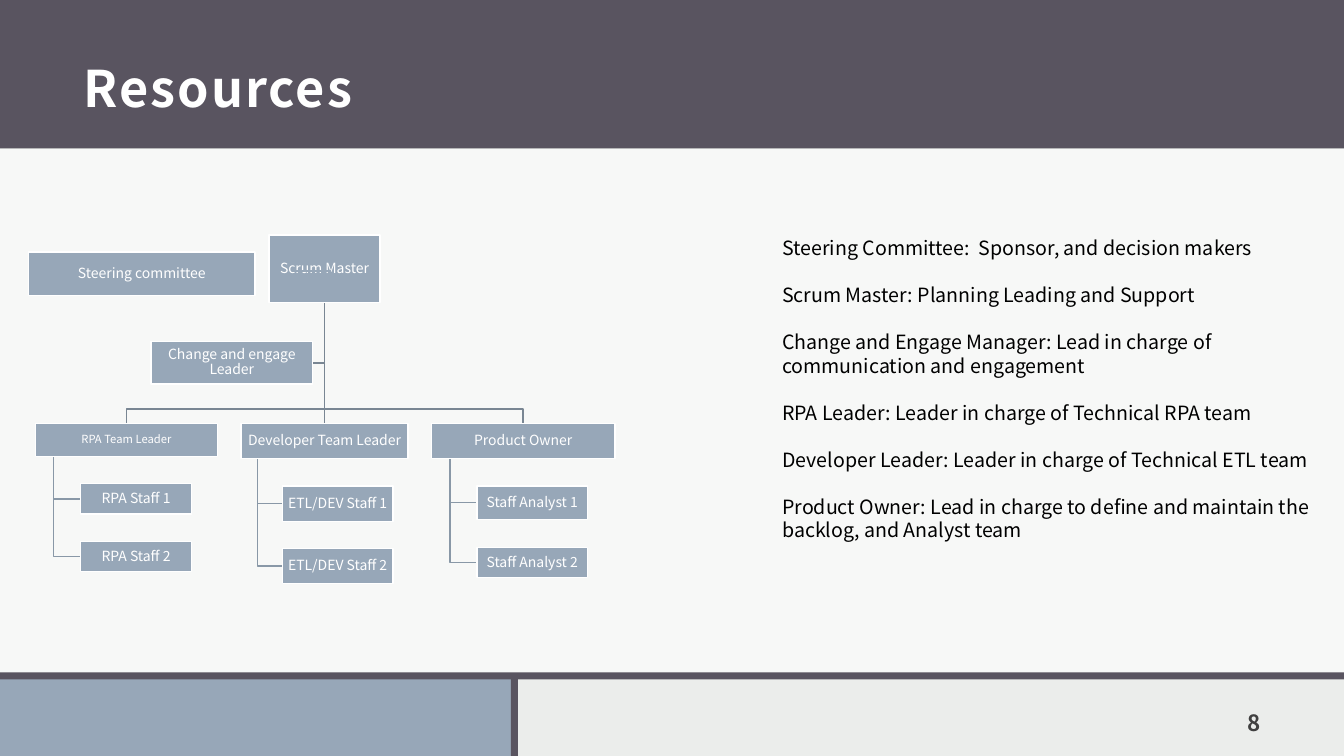
from lxml import etree
from pptx import Presentation
from pptx.dml.color import RGBColor
from pptx.enum.shapes import MSO_CONNECTOR, MSO_SHAPE
from pptx.enum.text import MSO_ANCHOR, PP_ALIGN
from pptx.oxml.ns import qn
from pptx.util import Pt

RECTANGLE = MSO_SHAPE.RECTANGLE
STRAIGHT = MSO_CONNECTOR.STRAIGHT
MIDDLE, BOTTOM, TOP = MSO_ANCHOR.MIDDLE, MSO_ANCHOR.BOTTOM, MSO_ANCHOR.TOP
CENTER, LEFT, RIGHT = PP_ALIGN.CENTER, PP_ALIGN.LEFT, PP_ALIGN.RIGHT

FONT = "Noto Sans CJK JP"
WHITE = RGBColor(0xFF, 0xFF, 0xFF)
BLACK = RGBColor(0x00, 0x00, 0x00)
PLUM = RGBColor(0x59, 0x54, 0x60)
SAGE = RGBColor(0xEB, 0xED, 0xEB)
PALE = RGBColor(0xF7, 0xF8, 0xF7)
STEEL = RGBColor(0x97, 0xA7, 0xB8)
TRUNK_BLUE = RGBColor(0x79, 0x86, 0x93)
BRANCH_BLUE = RGBColor(0x89, 0x98, 0xA7)
DARK_GRAY = RGBColor(0x40, 0x40, 0x40)

WIDTH, HEIGHT = 960, 540
LEADER_TOP, BUS_Y = 302.4, 292.3
STAFF_WIDTH = 79.2

BANDS = [  # left, top, width, height, colour
    (0, 0, WIDTH, 106, PLUM),
    (0, 106.5, WIDTH, 374, PALE),
    (0, 481, 366.5, 59, STEEL),
    (0, 480.2, WIDTH, 5.2, PLUM),
    (365, 481.7, 5, 58.3, PLUM),
]

STEERING = (20.2, 180, 162, 31)
SCRUM_MASTER = (192.2, 167.8, STAFF_WIDTH, 48.2)
CHANGE_LEADER = (108, 244.1, 115.2, 30.2)

# leader, left, width, height, text size, staff left, staff (name, top, height)
TEAMS = [
    ("RPA Team Leader", 25.2, 130.3, 23.8, 8, 57.6,
     [("RPA Staff 1", 345.6, 21.6), ("RPA Staff 2", 386.8, 21.6)]),
    ("Developer Team Leader", 172.1, 119.5, 25.2, 10, 201.6,
     [("ETL/DEV Staff 1", 347.2, 25.2), ("ETL/DEV Staff 2", 391.7, 25.2)]),
    ("Product Owner", 308.2, 131, 25.2, 10, 340.6,
     [("Staff Analyst 1", 347.2, 23.8), ("Staff Analyst 2", 391, 21.6)]),
]

ROLES = [
    "Steering Committee:  Sponsor, and decision makers",
    "Scrum Master: Planning Leading and Support",
    "Change and Engage Manager: Lead in charge of communication and engagement",
    "RPA Leader: Leader in charge of Technical RPA team",
    "Developer Leader: Leader in charge of Technical ETL team",
    "Product Owner: Lead in charge to define and maintain the backlog, and Analyst team",
]


def write(paragraph, text, size, color, align, bold=False, tracking=0):
    """Add one styled run; tracking is in hundredths of a point."""
    paragraph.alignment = align
    run = paragraph.add_run()
    run.text = text
    run.font.name, run.font.size, run.font.bold = FONT, Pt(size), bold
    run.font.color.rgb = color
    if tracking:
        run.font._element.set("spc", str(tracking))


def draw_wire(points, color):
    (start_x, start_y), *rest = points
    builder = slide.shapes.build_freeform(Pt(start_x), Pt(start_y))
    builder.add_line_segments([(Pt(x), Pt(y)) for x, y in rest], close=False)
    wire = builder.convert_to_shape()
    wire.shadow.inherit = False
    wire.fill.background()
    wire.line.color.rgb = color
    wire.line.width = Pt(1)


prs = Presentation()
prs.slide_width, prs.slide_height = Pt(WIDTH), Pt(HEIGHT)
slide = prs.slides.add_slide(prs.slide_layouts[1])
slide.background.fill.solid()
slide.background.fill.fore_color.rgb = SAGE
title, roles = slide.placeholders

# Backdrop, kept behind the placeholders
for order, (left, top, width, height, color) in enumerate(BANDS):
    band = slide.shapes.add_shape(RECTANGLE, Pt(left), Pt(top), Pt(width), Pt(height))
    band.shadow.inherit = False
    band.fill.solid()
    band.fill.fore_color.rgb = color
    band.line.fill.background()
    slide.shapes._spTree.insert(2 + order, band._element)

# Title
title.left, title.top, title.width, title.height = Pt(51), Pt(14.4), Pt(858), Pt(73.4)
frame = title.text_frame
frame.vertical_anchor = MIDDLE
frame.margin_left = frame.margin_right = frame.margin_top = Pt(8.6)
frame.margin_bottom = Pt(7.2)
frame.paragraphs[0].line_spacing = 1.5
write(frame.paragraphs[0], "Resources", 36, WHITE, LEFT, True, 150)

# Page number
page_number = slide.shapes.add_textbox(Pt(832.3), Pt(496.8), Pt(77), Pt(36))
frame = page_number.text_frame
frame.word_wrap = True
frame.vertical_anchor = BOTTOM
frame.margin_left = frame.margin_right = frame.margin_top = Pt(8.6)
frame.margin_bottom = Pt(7.2)
write(frame.paragraphs[0], "8", 16, DARK_GRAY, RIGHT, True, 150)

# Wires of the organisation chart
master_left, master_top, master_width, master_height = SCRUM_MASTER
trunk_x = master_left + master_width / 2
trunk_top = master_top + master_height
change_left, change_top, change_width, change_height = CHANGE_LEADER
change_y = change_top + change_height / 2
draw_wire([(trunk_x, trunk_top), (trunk_x, change_y),
           (change_left + change_width, change_y)], TRUNK_BLUE)

boxes = [
    ("Steering committee", 10, STEERING),
    ("Scrum Master", 10, SCRUM_MASTER),
    ("Change and engage Leader", 10, CHANGE_LEADER),
]
for leader, left, width, height, size, staff_left, staff in TEAMS:
    center = left + width / 2
    draw_wire([(trunk_x, trunk_top), (trunk_x, BUS_Y), (center, BUS_Y),
               (center, LEADER_TOP)], TRUNK_BLUE)
    boxes.append((leader, size, (left, LEADER_TOP, width, height)))
    stem_x = left + width / 10
    for name, top, staff_height in staff:
        staff_y = top + staff_height / 2
        draw_wire([(stem_x, LEADER_TOP + height), (stem_x, staff_y),
                   (staff_left, staff_y)], BRANCH_BLUE)
        boxes.append((name, 10, (staff_left, top, STAFF_WIDTH, staff_height)))

# Boxes of the organisation chart
for name, size, bounds in boxes:
    box = slide.shapes.add_shape(RECTANGLE, *[Pt(length) for length in bounds])
    box.shadow.inherit = False
    box.fill.solid()
    box.fill.fore_color.rgb = STEEL
    box.line.color.rgb = WHITE
    box.line.width = Pt(1)
    frame = box.text_frame
    frame.word_wrap = True
    frame.vertical_anchor = MIDDLE
    frame.margin_left = frame.margin_right = Pt(0.5)
    frame.margin_top = frame.margin_bottom = Pt(0.5)
    frame.paragraphs[0].line_spacing = 0.9
    write(frame.paragraphs[0], name, size, WHITE, CENTER)

committee_link = slide.shapes.add_connector(STRAIGHT, Pt(209.5), Pt(193.7), Pt(236.2), Pt(193.7))
committee_link.line.color.rgb = STEEL
committee_link.line.width = Pt(1.5)
etree.SubElement(committee_link._element.spPr, qn("a:effectLst"))

# Role descriptions
roles.left, roles.top, roles.width, roles.height = Pt(551.5), Pt(164.9), Pt(408.2), Pt(244.8)
frame = roles.text_frame
frame.vertical_anchor = TOP
for index, role in enumerate(ROLES):
    paragraph = frame.add_paragraph() if index else frame.paragraphs[0]
    paragraph.space_before = Pt(0)
    paragraph.space_after = Pt(16.8)
    properties = paragraph._p.get_or_add_pPr()
    properties.set("marL", "0")
    properties.set("indent", "0")
    etree.SubElement(properties, qn("a:buNone"))
    write(paragraph, role, 14, BLACK, LEFT)

prs.save("out.pptx")
